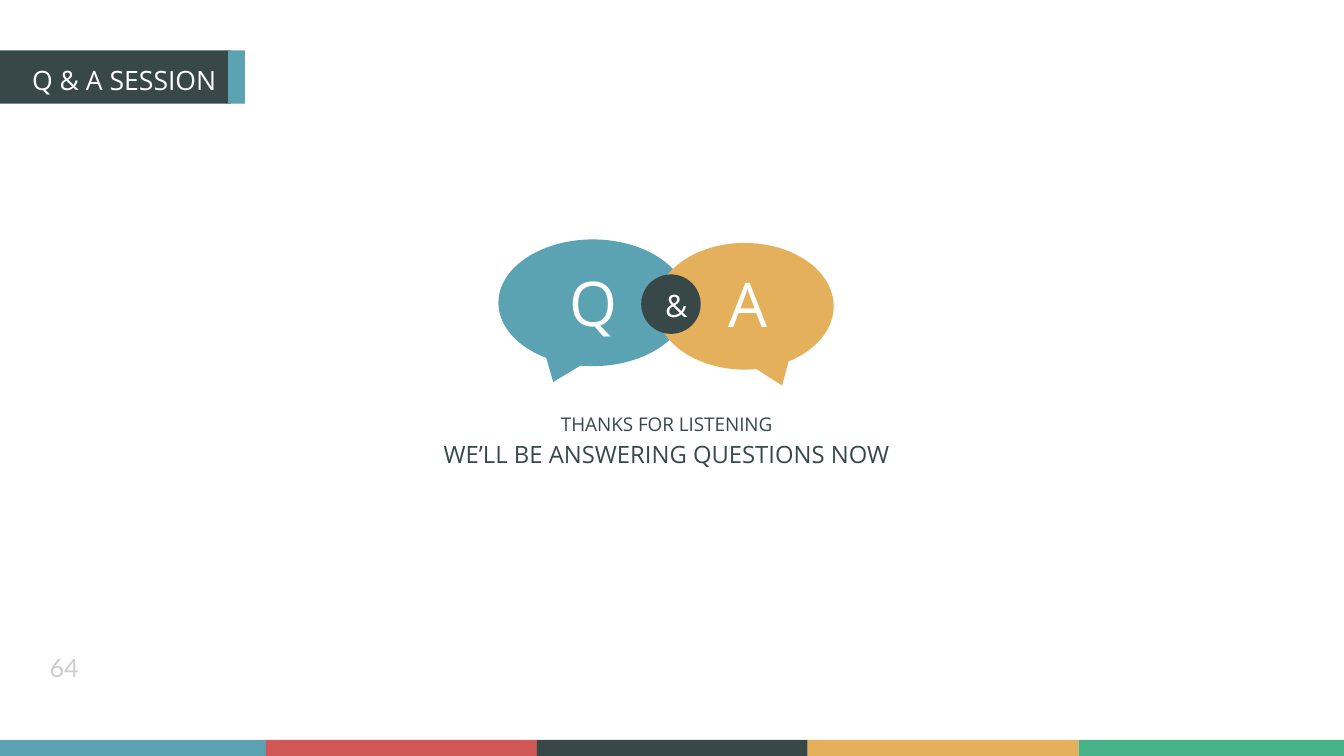
from itertools import pairwise

from pptx import Presentation
from pptx.dml.color import RGBColor
from pptx.enum.shapes import MSO_SHAPE as Kind
from pptx.enum.text import MSO_ANCHOR as Anchor, PP_ALIGN as Align
from pptx.util import Pt

WIDE, HIGH = 960, 540
HUES = {"teal": "5BA2B2", "red": "D15656", "dark": "384849", "gold": "E5B05C",
        "green": "47B289", "white": "FFFFFF", "pale": "CCCCCC"}


def hue(name):
    return RGBColor.from_string(HUES[name])


def paint(shape, color):
    shape.fill.solid()
    shape.fill.fore_color.rgb = hue(color)


def place(shape, box):
    shape.left, shape.top, shape.width, shape.height = map(Pt, box)


def write(shape, text, size=18, color="white", font="Open Sans",
          align=Align.LEFT, anchor=Anchor.TOP, pad=(7.2, 3.6, 7.2, 3.6)):
    frame = shape.text_frame
    frame.word_wrap = True
    frame.vertical_anchor = anchor
    (frame.margin_left, frame.margin_top,
     frame.margin_right, frame.margin_bottom) = map(Pt, pad)
    frame.text = text
    para = frame.paragraphs[0]
    para.alignment = align
    para.line_spacing = 1.0
    face = para.runs[0].font
    face.name, face.size, face.bold = font, Pt(size), False
    face.color.rgb = hue(color)


def label(slide, box, text, **style):
    write(slide.shapes.add_textbox(*map(Pt, box)), text, **style)


def block(slide, kind, box, color):
    shape = slide.shapes.add_shape(kind, *map(Pt, box))
    shape.shadow.inherit = False
    shape.line.fill.background()
    paint(shape, color)
    return shape


def bubble(slide, box, color, tail):
    """Speech bubble whose tail leans left (negative) or right."""
    shape = block(slide, Kind.OVAL_CALLOUT, box, color)
    shape.adjustments[0] = tail
    shape.adjustments[1] = 0.625


def stripe(slide):
    """Five-colour band along the foot of the slide."""
    edges = [0] + [190 + 193.5 * i for i in range(4)] + [WIDE]
    names = ("teal", "red", "dark", "gold", "green")
    for (left, right), name in zip(pairwise(edges), names):
        block(slide, Kind.RECTANGLE, (left, 528.5, right - left, 11.5), name)


def banner(slide, text):
    title = slide.shapes.title
    place(title, (0, 36, 165, 38))
    paint(title, "dark")
    write(title, text, size=19, anchor=Anchor.MIDDLE, pad=(23, 3.6, 0, 0))
    block(slide, Kind.RECTANGLE, (163, 36, 12, 38), "teal")


def main():
    deck = Presentation()
    deck.slide_width, deck.slide_height = Pt(WIDE), Pt(HIGH)
    slide = deck.slides.add_slide(deck.slide_layouts[5])

    banner(slide, "Q & A SESSION")
    stripe(slide)
    label(slide, (26, 463.5, 69, 26), "64", color="pale", font="Lato",
          anchor=Anchor.MIDDLE, pad=(9.4, 5, 9.4, 5))

    bubble(slide, (356, 171, 135, 90.5), "teal", -0.21)
    bubble(slide, (468.5, 173.5, 127, 90.5), "gold", 0.21)
    label(slide, (399.5, 186, 60, 60), "Q", size=44)
    label(slide, (513.5, 186.5, 60, 60), "A", size=44)
    block(slide, Kind.OVAL, (458, 196, 42.5, 42.5), "dark")
    label(slide, (468, 201.5, 33, 34), "&", size=22)

    for top, high, size, text in (
            (291, 24, 13.5, "THANKS FOR LISTENING"),
            (310.5, 28, 17, "WE’LL BE ANSWERING QUESTIONS NOW")):
        label(slide, (286.5, top, 379.5, high), text, size=size,
              color="dark", align=Align.CENTER)

    deck.save("out.pptx")


if __name__ == "__main__":
    main()
